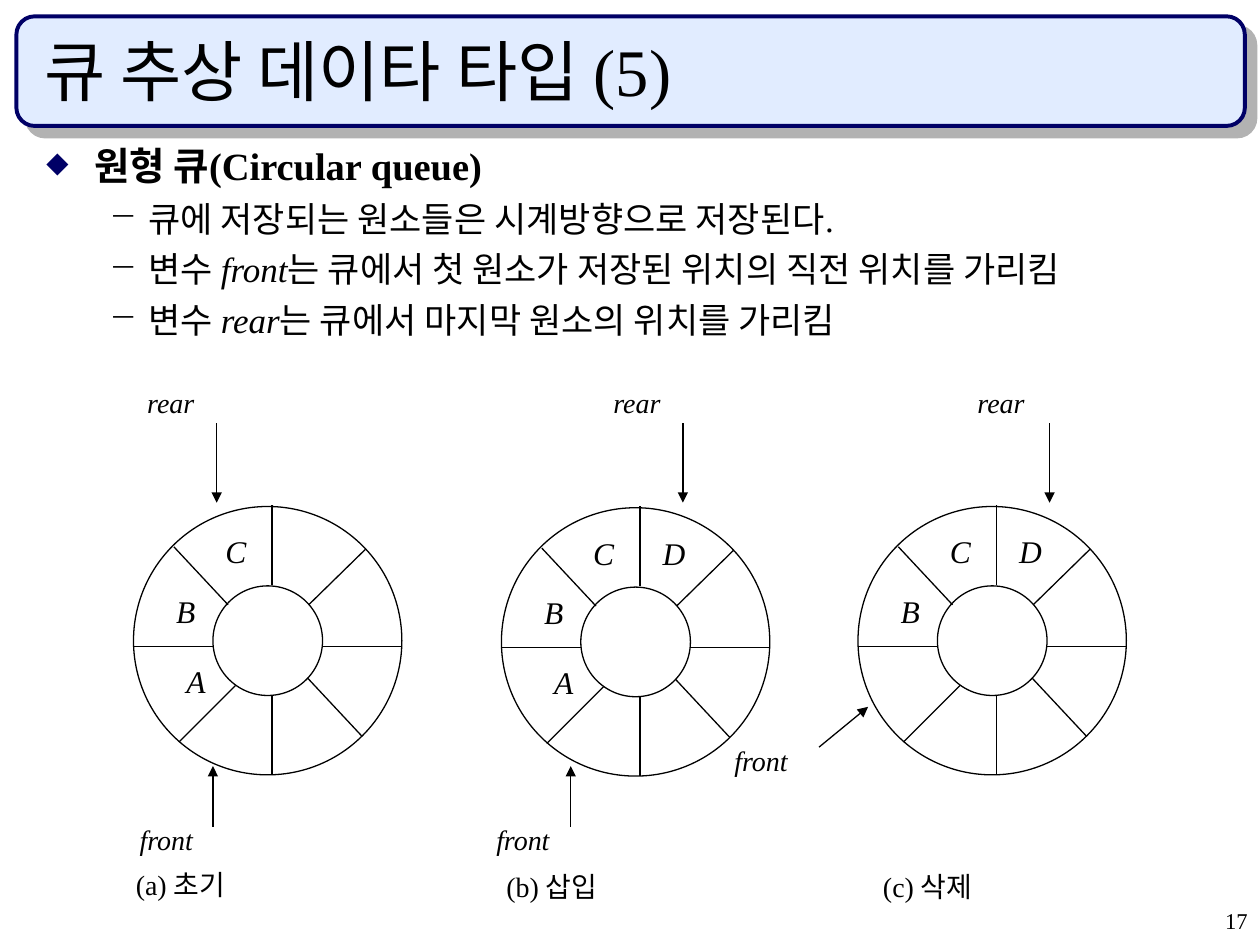
"""Build a slide on the circular queue: definition and three ring diagrams."""
from lxml.etree import SubElement
from pptx import Presentation
from pptx.dml.color import RGBColor
from pptx.enum.shapes import MSO_CONNECTOR, MSO_SHAPE
from pptx.enum.text import MSO_ANCHOR, PP_ALIGN
from pptx.oxml.ns import qn
from pptx.util import Pt

PX = 9144
BLACK = RGBColor(0x00, 0x00, 0x00)
NAVY = RGBColor(0x00, 0x00, 0x66)
PALE_BLUE = RGBColor(0xE1, 0xEC, 0xFF)
SHADOW_GREY = RGBColor(0xB2, 0xB2, 0xB2)


def write(paragraph, text, size, align=PP_ALIGN.JUSTIFY, **formats):
    run = paragraph.add_run()
    run.text = text
    run.font.color.rgb = BLACK
    paragraph.alignment = align
    for key, value in {"name": "Times New Roman", "size": Pt(size), **formats}.items():
        setattr(run.font, key, value)


def draw_line(shapes, ends, arrow=False):
    line = shapes.add_connector(MSO_CONNECTOR.STRAIGHT, *(v * PX for v in ends))
    line.line.color.rgb = BLACK
    line.line.width = Pt(0.75)
    properties = line.element.spPr
    if arrow:
        SubElement(properties.find(qn("a:ln")), qn("a:tailEnd"), type="triangle")
    SubElement(properties, qn("a:effectLst"))


prs = Presentation()
prs.slide_width, prs.slide_height = 1000 * PX, 750 * PX
slide = prs.slides.add_slide(prs.slide_layouts[5])
shapes = slide.shapes

title = shapes.title
title.left, title.top, title.width, title.height = (v * PX for v in (25, 25, 942, 67))
title.text_frame.vertical_anchor = MSO_ANCHOR.BOTTOM
write(title.text_frame.paragraphs[0], "큐 추상 데이타 타입 (5)", 38, PP_ALIGN.LEFT)

band = shapes.add_shape(MSO_SHAPE.ROUNDED_RECTANGLE, *(v * PX for v in (13, 13, 975, 87)))
band.fill.solid()
band.fill.fore_color.rgb = PALE_BLUE
band.line.color.rgb = NAVY
band.line.width = Pt(2.25)
band.shadow.inherit = False
effects = band.element.spPr.find(qn("a:effectLst"))
shadow = SubElement(effects, qn("a:outerShdw"), dist=str(Pt(8.5)), dir="2700000", algn="ctr", rotWithShape="0")
SubElement(shadow, qn("a:srgbClr"), val=str(SHADOW_GREY))
title.element.addprevious(band.element)

definition = shapes.add_textbox(*(v * PX for v in (27, 108, 942, 197))).text_frame
definition.word_wrap = True
points = [
    (0, [("원형 큐(Circular queue)", {"bold": True})]),
    (1, [("큐에 저장되는 원소들은 시계방향으로 저장된다.", {})]),
    (1, [("변수 ", {}), ("front", {"italic": True}),
         ("는 큐에서 첫 원소가 저장된 위치의 직전 위치를 가리킴", {})]),
    (1, [("변수 ", {}), ("rear", {"italic": True}),
         ("는 큐에서 마지막 원소의 위치를 가리킴", {})]),
]
bullets = [("◆", NAVY, 75, 38, -38, 22), ("−", BLACK, 100, 81, -31, 20)]
for index, (level, pieces) in enumerate(points):
    point = definition.add_paragraph() if index else definition.paragraphs[0]
    mark, color, percent, margin, indent, size = bullets[level]
    point.level = level
    if index:
        point.space_before = Pt(5)
    layout = point._p.get_or_add_pPr()
    layout.set("marL", str(margin * PX))
    layout.set("indent", str(indent * PX))
    SubElement(SubElement(layout, qn("a:buClr")), qn("a:srgbClr"), val=str(color))
    SubElement(layout, qn("a:buSzPct"), val=str(percent * 1000))
    SubElement(layout, qn("a:buChar"), char=mark)
    for text, formats in pieces:
        write(point, text, size, **formats)

RING, HOLE, HOLE_OFFSET = 213, 87, 63
SPOKES = [
    (110, -1, 110, 62), (110, 150, 110, 213), (0, 111, 63, 111), (150, 111, 213, 111),
    (81, 142, 36, 187), (32, 32, 75, 78), (138, 136, 181, 182), (184, 34, 139, 78),
]
SLOTS = {"A": (32, 119), "B": (24, 63), "C": (63, 16), "D": (118, 16)}
for left, top, items in [(106, 402, "ABC"), (398, 403, "ABCD"), (681, 402, "BCD")]:
    for offset, size in [(0, RING), (HOLE_OFFSET, HOLE)]:
        circle = shapes.add_shape(
            MSO_SHAPE.OVAL, (left + offset) * PX, (top + offset) * PX, size * PX, size * PX)
        circle.fill.background()
        circle.line.color.rgb = BLACK
        circle.line.width = Pt(0.75)
        circle.shadow.inherit = False
    for x1, y1, x2, y2 in SPOKES:
        draw_line(shapes, (left + x1, top + y1, left + x2, top + y2))
    for item in items:
        x, y = SLOTS[item]
        slot = shapes.add_textbox((left + x) * PX, (top + y) * PX, 32 * PX, 39 * PX).text_frame
        slot.word_wrap = False
        slot.vertical_anchor = MSO_ANCHOR.MIDDLE
        write(slot.paragraphs[0], item, 18, PP_ALIGN.CENTER, italic=True)

for arrow in [
    (172, 336, 172, 399), (542, 336, 542, 399), (833, 336, 833, 399),
    (169, 656, 169, 608), (453, 656, 453, 608), (650, 593, 689, 561),
]:
    draw_line(shapes, arrow, arrow=True)

for text, left, top, width, italic in [
    ("rear", 107, 301, 133, True), ("rear", 477, 301, 133, True), ("rear", 766, 301, 133, True),
    ("front", 101, 648, 138, True), ("front", 384, 648, 138, True), ("front", 573, 585, 138, True),
    ("(a) 초기", 98, 684, 166, False), ("(b) 삽입", 392, 685, 166, False),
    ("(c) 삭제", 691, 685, 166, False),
]:
    label = shapes.add_textbox(left * PX, top * PX, width * PX, 37 * PX).text_frame
    label.word_wrap = True
    write(label.paragraphs[0], text, 16, italic=italic)

page_number = shapes.add_textbox(*(v * PX for v in (792, 717, 208, 33))).text_frame
page_number.word_wrap = True
page_number.paragraphs[0].line_spacing = 0.9
write(page_number.paragraphs[0], "17", 12.9, PP_ALIGN.RIGHT)

prs.save("out.pptx")
